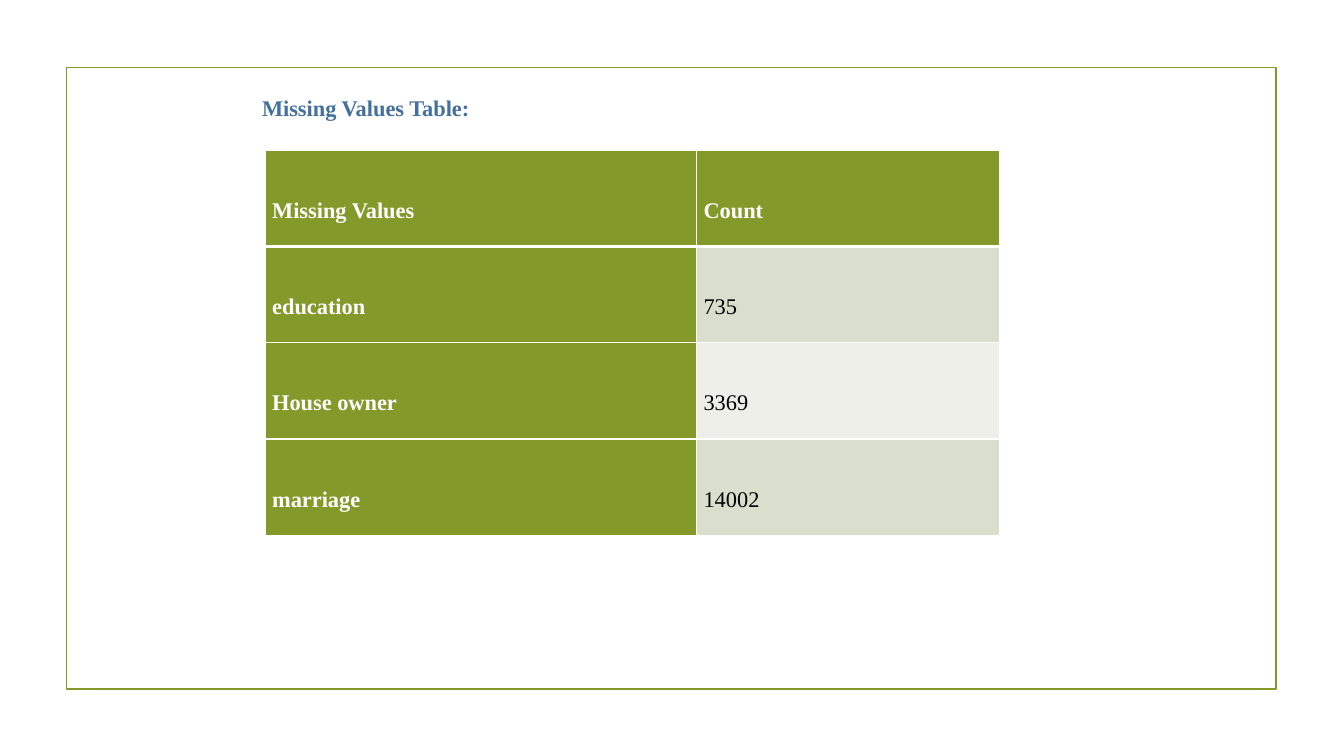
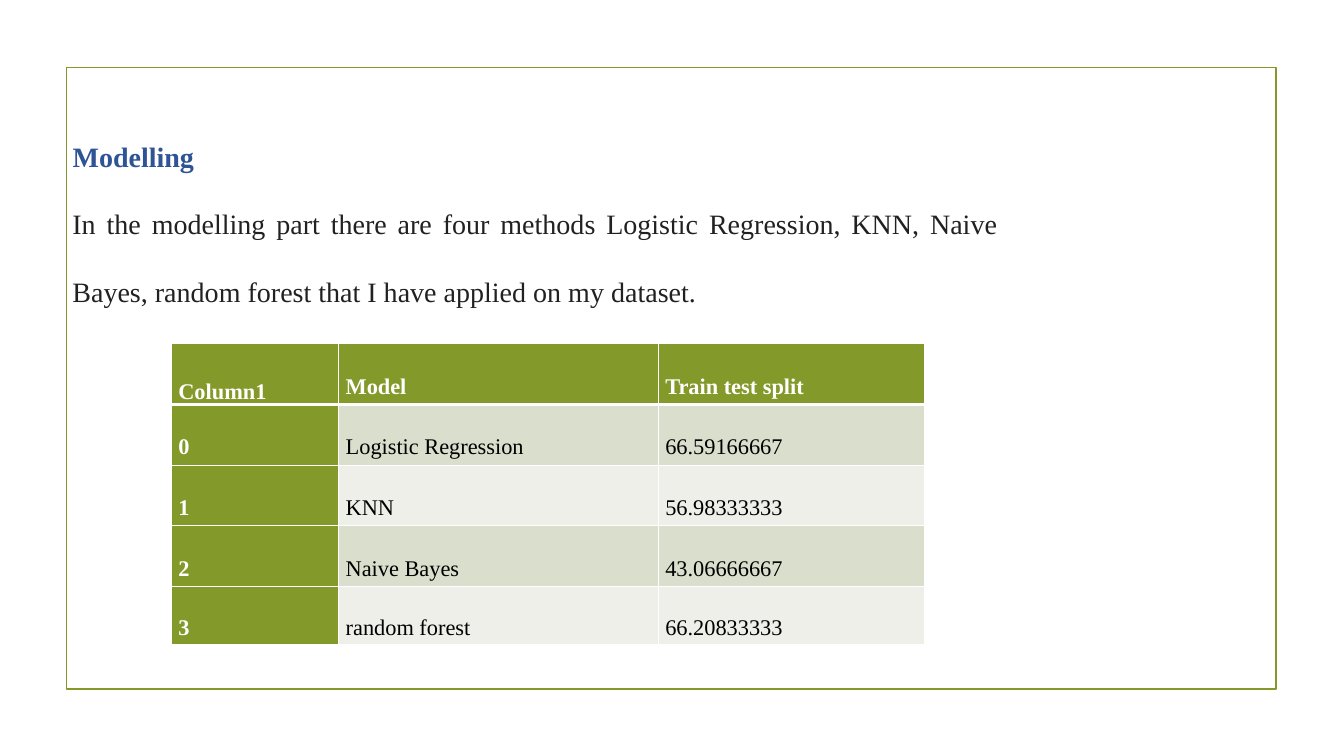
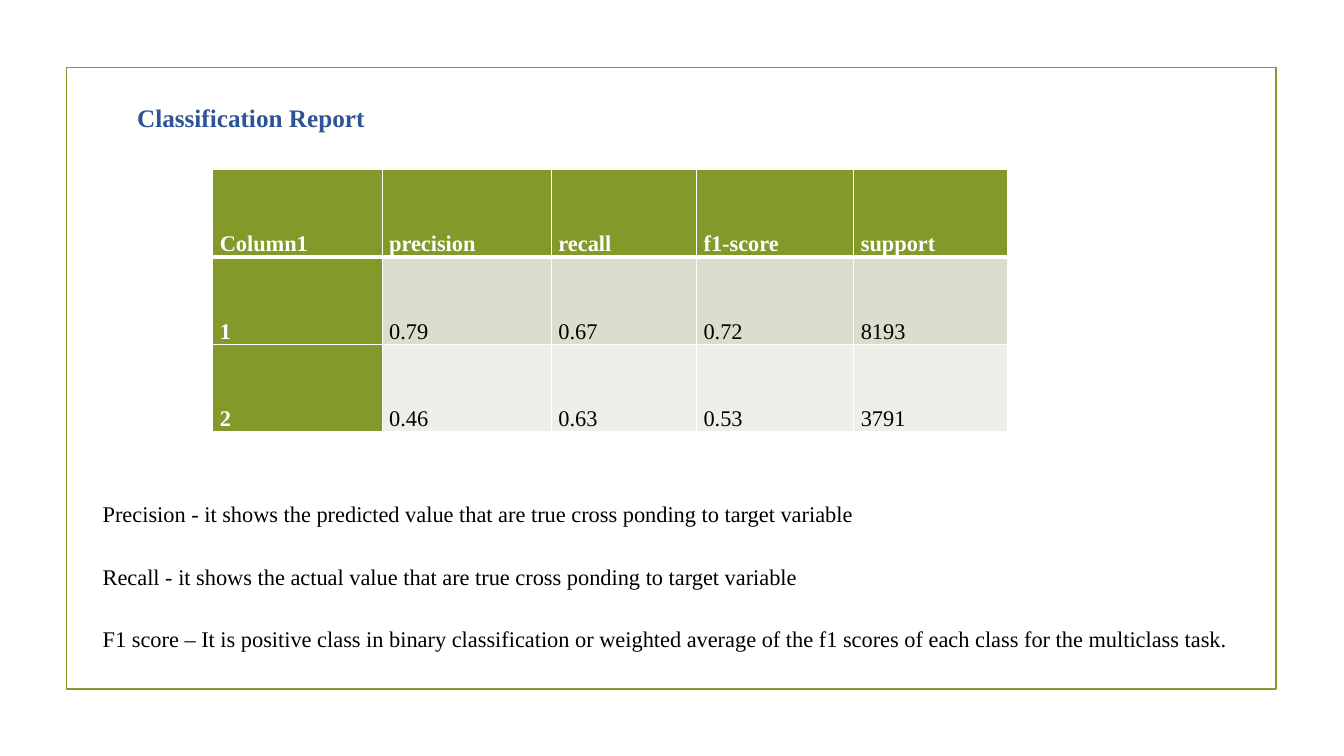
from dataclasses import dataclass

from lxml.etree import SubElement
from pptx import Presentation
from pptx.dml.color import RGBColor
from pptx.enum.shapes import MSO_SHAPE
from pptx.enum.text import MSO_ANCHOR, MSO_AUTO_SIZE, PP_ALIGN
from pptx.oxml.ns import qn
from pptx.util import Inches, Pt


@dataclass(frozen=True)
class Theme:
    font: str = "Times New Roman"
    green: str = "83992A"
    steel: str = "44709D"
    navy: str = "2F5496"
    ink: str = "212121"
    black: str = "000000"
    white: str = "FFFFFF"
    bands: tuple = ("D9DECD", "EDEFE8")
    small: int = 16
    medium: int = 18
    large: int = 20
    after: int = 6
    thin: float = 1
    thick: float = 3
    frame: float = 1.25


class Deck:
    """Builds slides; every length is a percentage of the slide's width or height."""

    def __init__(self, theme):
        self.theme = theme
        self.prs = Presentation()
        self.prs.slide_width, self.prs.slide_height = Inches(13.33), Inches(7.5)
        self.slide = None

    def x(self, share):
        return round(self.prs.slide_width * share / 100)

    def y(self, share):
        return round(self.prs.slide_height * share / 100)

    def box(self, left, top, width, height):
        return self.x(left), self.y(top), self.x(width), self.y(height)

    def style(self, p, size, color, bold=False, spacing=2, after=0):
        p.alignment = PP_ALIGN.JUSTIFY
        p.line_spacing = spacing
        p.space_before, p.space_after = Pt(0), Pt(after)
        font = p.font
        font.name, font.size, font.bold = self.theme.font, Pt(size), bold
        font.color.rgb = RGBColor.from_string(color)

    def add_slide(self, title, box, size, color, spacing=2):
        self.slide = self.prs.slides.add_slide(self.prs.slide_layouts[5])
        self.add_frame()
        sp = self.slide.shapes.title
        sp.left, sp.top, sp.width, sp.height = self.box(*box)
        tf = sp.text_frame
        tf.text = title
        tf.word_wrap = True
        tf.auto_size = MSO_AUTO_SIZE.NONE
        tf.vertical_anchor = MSO_ANCHOR.TOP
        self.style(tf.paragraphs[0], size, color, True, spacing)

    def add_frame(self):
        sp = self.slide.shapes.add_shape(
            MSO_SHAPE.RECTANGLE, *self.box(4.95, 8.93, 90, 82.27))
        sp.shadow.inherit = False
        sp.fill.background()
        sp.line.color.rgb = RGBColor.from_string(self.theme.green)
        sp.line.width = Pt(self.theme.frame)

    def add_text(self, lines, box, size, color):
        tf = self.slide.shapes.add_textbox(*self.box(*box)).text_frame
        tf.word_wrap = True
        tf.text = "\n".join(lines)
        for p in tf.paragraphs:
            self.style(p, size, color, after=self.theme.after)

    def add_table(self, rows, left, top, widths, heights, anchor):
        """Draw rows with a green header row and first column; anchor(row, col) sets each cell."""
        box = self.box(left, top, sum(widths), sum(heights))
        table = self.slide.shapes.add_table(len(rows), len(widths), *box).table
        for column, width in zip(table.columns, widths):
            column.width = self.x(width)
        for r, (row, height) in enumerate(zip(rows, heights)):
            table.rows[r].height = self.y(height)
            for c, text in enumerate(row):
                cell = table.cell(r, c)
                cell.vertical_anchor = anchor(r, c)
                self.fill_cell(cell, text, r, c)

    def fill_cell(self, cell, text, r, c):
        t = self.theme
        header = r == 0 or c == 0
        cell.text = text
        cell.margin_left = cell.margin_right = Inches(0.07)
        cell.margin_top = cell.margin_bottom = 0
        self.style(cell.text_frame.paragraphs[0], t.small,
                   t.white if header else t.black, header, after=t.after)
        tc_pr = cell._tc.get_or_add_tcPr()
        edges = {"lnL": t.thin, "lnR": t.thin,
                 "lnT": t.thick if r == 1 else t.thin,
                 "lnB": t.thick if r == 0 else t.thin}
        for edge, width in edges.items():
            ln = SubElement(tc_pr, qn(f"a:{edge}"), w=str(Pt(width)))
            SubElement(SubElement(ln, qn("a:solidFill")), qn("a:srgbClr"), val=t.white)
        cell.fill.solid()
        cell.fill.fore_color.rgb = RGBColor.from_string(
            t.green if header else t.bands[(r - 1) % 2])


def middle(r, c):
    return MSO_ANCHOR.MIDDLE


def bottom(r, c):
    return MSO_ANCHOR.BOTTOM


def bottom_corner(r, c):
    return MSO_ANCHOR.BOTTOM if r == c == 0 else MSO_ANCHOR.MIDDLE


def add_missing_values(deck):
    t = deck.theme
    deck.add_slide("Missing Values Table:", (18.75, 11.73, 56.25, 4.8),
                   t.small, t.steel, spacing=1)
    rows = [("Missing Values", "Count"), ("education", "735"),
            ("House owner", "3369"), ("marriage", "14002")]
    deck.add_table(rows, 19.73, 19.87, [32.1, 22.58], [12.73] * 4, middle)


def add_modelling(deck):
    t = deck.theme
    deck.add_slide("Modelling", (4.65, 13.33, 70.35, 10.27), t.large, t.navy)
    deck.add_text(["In the modelling part there are four methods Logistic Regression, KNN, "
                   "Naive Bayes, random forest that I have applied on my dataset."],
                  (4.65, 22.27, 70.35, 19.47), t.large, t.ink)
    rows = [("Column1", "Model", "Train test split"),
            ("0", "Logistic Regression", "66.59166667"),
            ("1", "KNN", "56.98333333"),
            ("2", "Naive Bayes", "43.06666667"),
            ("3", "random forest", "66.20833333")]
    deck.add_table(rows, 12.75, 45.47, [12.45, 23.78, 19.8],
                   [8.03] * 4 + [7.73], bottom_corner)


def add_classification_report(deck):
    t = deck.theme
    deck.add_slide("Classification Report", (9.45, 8.93, 67.8, 9), t.medium, t.navy)
    rows = [("Column1", "precision", "recall", "f1-score", "support"),
            ("1", "0.79", "0.67", "0.72", "8193"),
            ("2", "0.46", "0.63", "0.53", "3791")]
    deck.add_table(rows, 15.83, 22.4, [12.6, 12.6, 10.8, 11.7, 11.48],
                   [11.57] * 3, bottom)
    deck.add_text(
        ["Precision - it shows the predicted value that are true cross ponding to target variable",
         "Recall - it shows the actual value that are true cross ponding to target variable",
         "F1 score – It is positive class in binary classification or weighted average "
         "of the f1 scores of each class for the multiclass task."],
        (6.9, 62, 87.67, 24), t.small, t.black)


def main():
    deck = Deck(Theme())
    add_missing_values(deck)
    add_modelling(deck)
    add_classification_report(deck)
    deck.prs.save("out.pptx")


if __name__ == "__main__":
    main()
